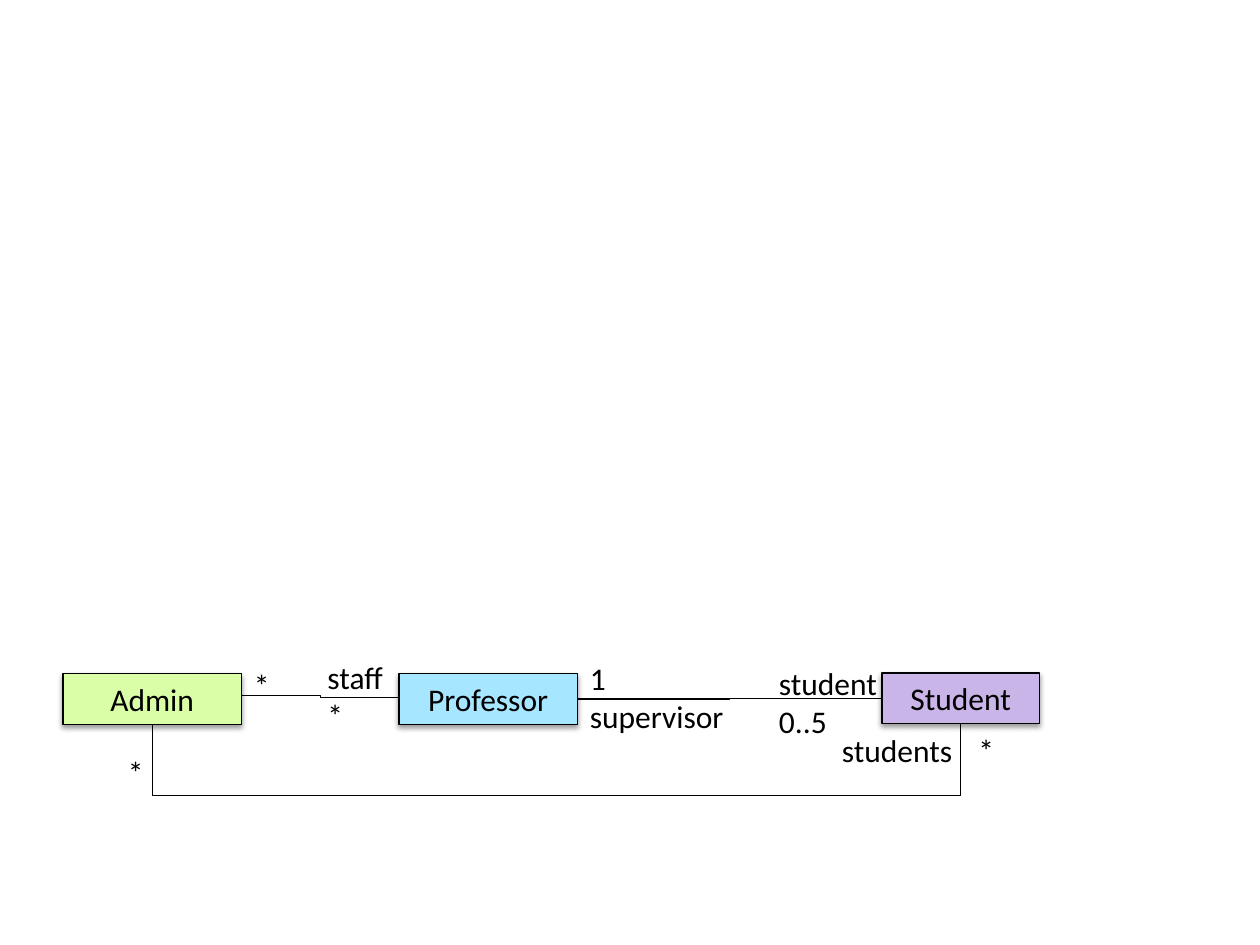
from dataclasses import dataclass

from lxml.etree import SubElement
from pptx import Presentation
from pptx.dml.color import RGBColor
from pptx.enum.shapes import MSO_CONNECTOR as Connector, MSO_SHAPE as Shape
from pptx.enum.text import MSO_ANCHOR as Anchor, MSO_AUTO_SIZE as AutoSize, PP_ALIGN as Align
from pptx.oxml.ns import qn
from pptx.util import Pt


@dataclass(frozen=True)
class Theme:
    font: str = "Calibri"
    size: float = 18
    line_width: float = 0.75
    ink: RGBColor = RGBColor.from_string("000000")
    admin: RGBColor = RGBColor.from_string("DAFDA7")
    professor: RGBColor = RGBColor.from_string("A7E6FF")
    student: RGBColor = RGBColor.from_string("C9B5E8")


THEME = Theme()


def write(frame, lines, align):
    frame.word_wrap = True
    frame.auto_size = AutoSize.SHAPE_TO_FIT_TEXT
    frame.text = "\n".join(lines)
    for para in frame.paragraphs:
        para.alignment = align
        para.font.name = THEME.font
        para.font.size = Pt(THEME.size)
        para.font.color.rgb = THEME.ink


def style_line(line):
    line.color.rgb = THEME.ink
    line.width = Pt(THEME.line_width)


def add_shadow(shape):
    effects = SubElement(shape.element.spPr, qn("a:effectLst"))
    shadow = SubElement(effects, qn("a:outerShdw"), blurRad=str(Pt(3.1)),
                        dist=str(Pt(1.6)), dir="5400000", rotWithShape="0")
    color = SubElement(shadow, qn("a:srgbClr"), val=str(THEME.ink))
    SubElement(color, qn("a:alpha"), val="38000")


def add_class(page, name, fill, left, top, width, height):
    box = page.shapes.add_shape(Shape.RECTANGLE, Pt(left), Pt(top), Pt(width), Pt(height))
    box.fill.solid()
    box.fill.fore_color.rgb = fill
    style_line(box.line)
    add_shadow(box)
    box.text_frame.vertical_anchor = Anchor.MIDDLE
    write(box.text_frame, [name], Align.CENTER)
    return box


def add_label(page, lines, left, top, width):
    height = 7.2 + 22 * len(lines)
    label = page.shapes.add_textbox(Pt(left), Pt(top), Pt(width), Pt(height))
    write(label.text_frame, lines, Align.LEFT)


def add_elbow(page, x1, y1, x2, y2):
    link = page.shapes.add_connector(Connector.ELBOW, Pt(x1), Pt(y1), Pt(x2), Pt(y2))
    style_line(link.line)
    SubElement(link.element.spPr, qn("a:effectLst"))
    return link


def add_loop(page, x1, y1, x2, y2, floor):
    """Join two lower edges by a path that dips to floor: an elbow turned by 90 degrees."""
    middle_x, middle_y = (x1 + x2) / 2, (y1 + y2) / 2
    half_span, half_rise = (x2 - x1) / 2, (y1 - y2) / 2
    link = add_elbow(page, middle_x + half_rise, middle_y + half_span,
                     middle_x - half_rise, middle_y - half_span)
    link.element.spPr.find(qn("a:xfrm")).set("rot", "5400000")
    bend = round(-(floor - y1) / (y1 - y2) * 100000)
    guides = link.element.spPr.find(qn("a:prstGeom")).find(qn("a:avLst"))
    SubElement(guides, qn("a:gd"), name="adj1", fmla=f"val {bend}")


def add_class_diagram(page, left, top, width, height):
    class_height, class_width, student_width = 29, 102, 90
    class_top = top + 0.5
    professor_left = left + 192
    student_left = left + width - student_width

    # Classes
    add_class(page, "Admin", THEME.admin, left, class_top, class_width, class_height)
    professor = add_class(page, "Professor", THEME.professor, professor_left, class_top,
                          class_width, class_height)
    student = add_class(page, "Student", THEME.student, student_left, top,
                        student_width, class_height)

    # Associations
    add_elbow(page, left + class_width, top + 12.9, professor_left, top + 14.1)
    supervision = add_elbow(page, professor_left + class_width, top + 15,
                            student_left, top + 14.5)
    supervision.begin_connect(professor, 3)
    supervision.end_connect(student, 1)
    add_loop(page, left + class_width / 2, class_top + class_height,
             student_left + student_width / 2, top + class_height, top + height)

    # Roles and multiplicities
    for lines, x, y, label_width in (
        (["*"], 102, -7.5, 48),
        (["staff", "*"], 144, -12, 48),
        (["1", "supervisor"], 294, -11.2, 102),
        (["student", "0..5"], 402, -8.5, 84),
        (["students"], 438, 29.5, 78),
        (["*"], 30, 42.5, 48),
        (["*"], 516, 29.5, 48),
    ):
        add_label(page, lines, left + x, top + y, label_width)


def main():
    deck = Presentation()
    deck.slide_width, deck.slide_height = Pt(720), Pt(540)
    page = deck.slides.add_slide(deck.slide_layouts[6])
    add_class_diagram(page, left=36, top=384.5, width=558, height=69.5)
    deck.save("out.pptx")


if __name__ == "__main__":
    main()
